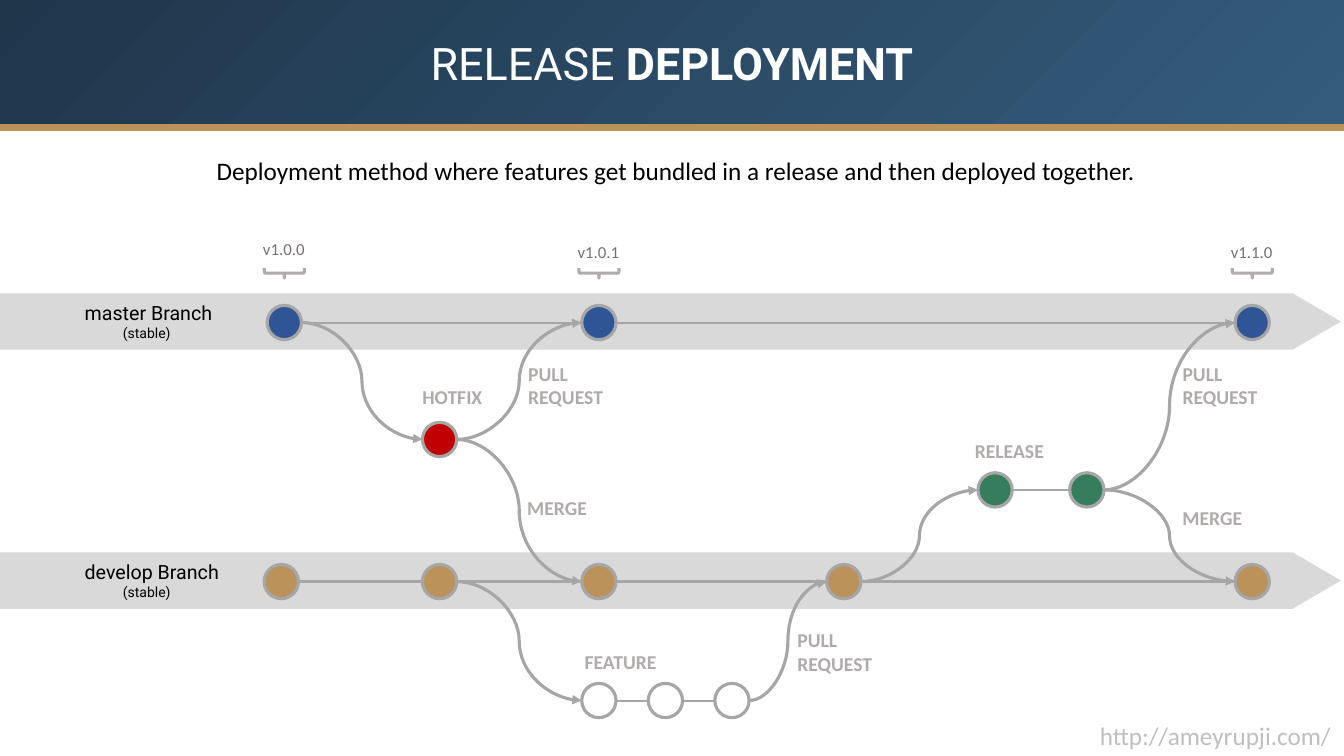
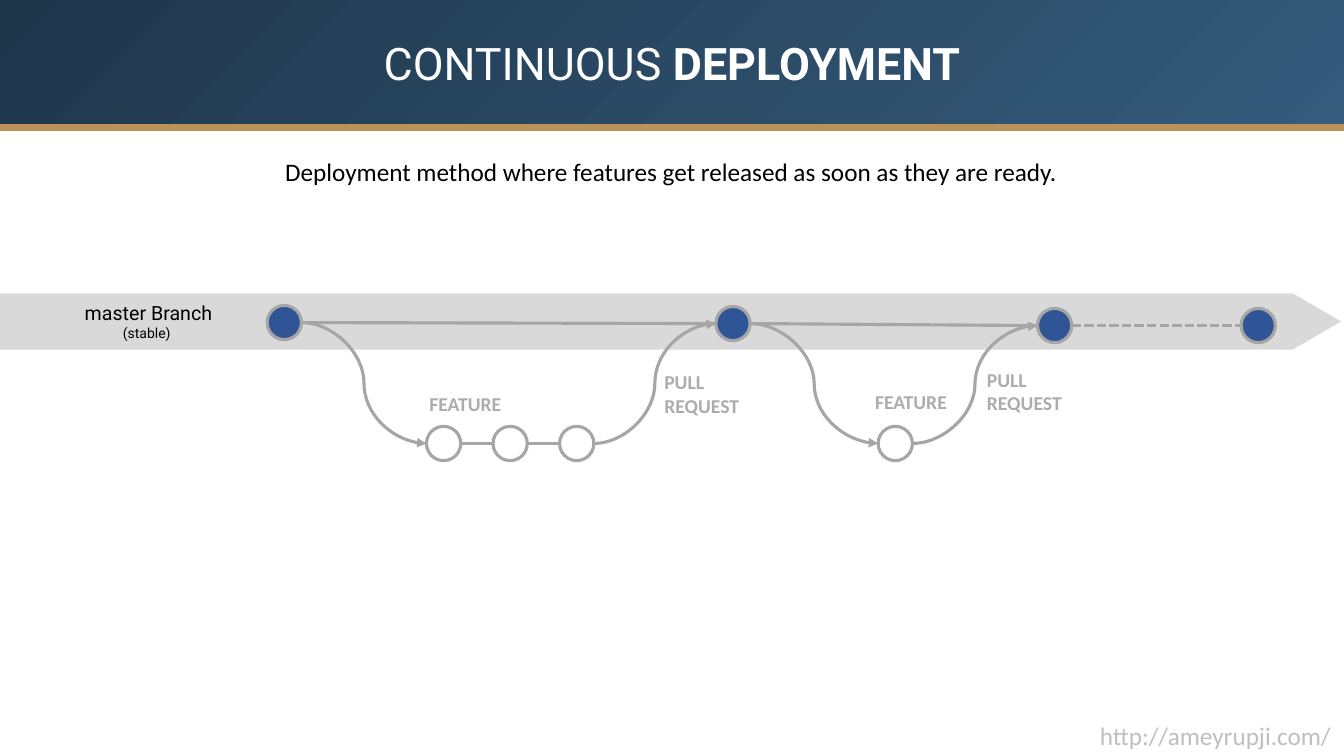
from dataclasses import dataclass
from itertools import pairwise

from pptx import Presentation
from pptx.dml.color import RGBColor
from pptx.enum.dml import MSO_LINE
from pptx.enum.shapes import MSO_CONNECTOR, MSO_SHAPE
from pptx.enum.text import MSO_ANCHOR, MSO_AUTO_SIZE, PP_ALIGN
from pptx.oxml.ns import qn
from pptx.util import Inches, Pt
from lxml import etree

STRAIGHT, CURVE = MSO_CONNECTOR.STRAIGHT, MSO_CONNECTOR.CURVE
ELLIPSE, ARROW_BAND, BRACE = MSO_SHAPE.OVAL, MSO_SHAPE.PENTAGON, MSO_SHAPE.RIGHT_BRACE
DOTTED = MSO_LINE.SQUARE_DOT
MIDDLE, CENTER, LEFT = MSO_ANCHOR.MIDDLE, PP_ALIGN.CENTER, PP_ALIGN.LEFT

HEADING_FONT, BODY_FONT = "Roboto", "Calibri"
WHITE, BLACK = "FFFFFF", "000000"
NAVY, STEEL, GOLD = "1F364B", "355C7D", "BB925A"
BLUE, RED, GREEN = "2F5597", "C00000", "357D5B"
BAND_GRAY, LINE_GRAY, LABEL_GRAY = "D9D9D9", "A6A6A6", "AFABAB"
TAG_GRAY, FOOTER_GRAY = "767171", "BFBFBF"

SLIDE_W, SLIDE_H = 13.33, 7.5
HEADER_H, RULE_Y = 1.25, 1.27
BAND_W, BAND_H, BAND_TIP = 13.3, 0.56, 0.48
NODE_D = 0.34
THIN, THICK = 1.5, 2.25
MASTER_Y, DEVELOP_Y = 3.2, 5.77
FEATURE_STEP = 0.66


@dataclass(frozen=True)
class Node:
    """A commit, placed by its centre."""
    x: float
    y: float
    color: str


@dataclass(frozen=True)
class Label:
    text: str
    x: float
    y: float
    w: float
    size: int = 14
    color: str = LABEL_GRAY
    bold: bool = True


def rgb(color: str) -> RGBColor:
    return RGBColor.from_string(color)


def add_run(p, text: str, size: int, color: str, font: str = BODY_FONT, bold: bool = False):
    r = p.add_run()
    r.text = text
    r.font.size = Pt(size)
    r.font.name = font
    r.font.bold = bold
    r.font.color.rgb = rgb(color)


def add_header(s, topic: str):
    sp = s.shapes.title
    sp.left, sp.top = Inches(0), Inches(0)
    sp.width, sp.height = Inches(SLIDE_W), Inches(HEADER_H)
    sp.fill.gradient()
    sp.fill.gradient_angle = 315
    for stop, color in zip(sp.fill.gradient_stops, (NAVY, STEEL)):
        stop.color.rgb = rgb(color)
    tf = sp.text_frame
    tf.auto_size = MSO_AUTO_SIZE.NONE
    tf.vertical_anchor = MIDDLE
    p = tf.paragraphs[0]
    p.alignment = CENTER
    add_run(p, f"{topic} ", 32, WHITE, HEADING_FONT)
    add_run(p, "DEPLOYMENT", 32, WHITE, HEADING_FONT, bold=True)
    add_line(s, (0, RULE_Y), (SLIDE_W, RULE_Y), GOLD, 5)


def add_label(s, label: Label):
    lines = label.text.split("\n")
    height = 0.1 + len(lines) * label.size / 60
    sp = s.shapes.add_textbox(Inches(label.x), Inches(label.y), Inches(label.w), Inches(height))
    tf = sp.text_frame
    tf.word_wrap = False
    for i, line in enumerate(lines):
        p = tf.add_paragraph() if i else tf.paragraphs[0]
        add_run(p, line, label.size, label.color, bold=label.bold)


def add_band(s, name: str, y: float):
    """Draw a branch as a wide arrow centred on y."""
    sp = s.shapes.add_shape(ARROW_BAND, Inches(0), Inches(y - 0.01 - BAND_H / 2),
                            Inches(BAND_W), Inches(BAND_H))
    sp.adjustments[0] = BAND_TIP / BAND_H
    sp.shadow.inherit = False
    sp.fill.solid()
    sp.fill.fore_color.rgb = rgb(BAND_GRAY)
    sp.line.fill.background()
    tf = sp.text_frame
    tf.margin_left = Inches(0.84)
    tf.vertical_anchor = MIDDLE
    p = tf.paragraphs[0]
    p.alignment = LEFT
    add_run(p, f"{name} Branch", 14, BLACK, HEADING_FONT)
    p = tf.add_paragraph()
    p.alignment = LEFT
    p._p.get_or_add_pPr().set("marL", str(Inches(0.38)))
    add_run(p, "(stable)", 10, BLACK, HEADING_FONT)


def add_line(s, start: tuple[float, float], end: tuple[float, float], color: str = LINE_GRAY,
             width: float = THICK, kind=STRAIGHT, arrow: bool = False, dash=None):
    c = s.shapes.add_connector(kind, *(Inches(v) for v in (*start, *end)))
    c.line.color.rgb = rgb(color)
    c.line.width = Pt(width)
    if dash is not None:
        c.line.dash_style = dash
    props = c.element.spPr
    if arrow:
        etree.SubElement(props.find(qn("a:ln")), qn("a:tailEnd"), type="triangle")
    etree.SubElement(props, qn("a:effectLst"))


def add_chain(s, nodes: list[Node], width: float = THICK, dash=None):
    """Join successive commits with straight lines."""
    for a, b in pairwise(nodes):
        add_line(s, (a.x + NODE_D / 2, a.y), (b.x - NODE_D / 2, b.y), width=width, dash=dash)


def add_flow(s, a: Node, b: Node):
    """Draw a curved arrow from the right of one commit to the left of another."""
    add_line(s, (a.x + NODE_D / 2, a.y), (b.x - NODE_D / 2, b.y), kind=CURVE, arrow=True)


def add_node(s, node: Node):
    sp = s.shapes.add_shape(ELLIPSE, Inches(node.x - NODE_D / 2), Inches(node.y - NODE_D / 2),
                            Inches(NODE_D), Inches(NODE_D))
    sp.shadow.inherit = False
    sp.fill.solid()
    sp.fill.fore_color.rgb = rgb(node.color)
    sp.line.color.rgb = rgb(LINE_GRAY)
    sp.line.width = Pt(THICK)


def add_version(s, node: Node, text: str, y: float):
    """Mark a commit with a brace and a version number."""
    sp = s.shapes.add_shape(BRACE, Inches(node.x - 0.05), Inches(2.51), Inches(0.1), Inches(0.4))
    sp.rotation = 90
    sp.shadow.inherit = False
    sp.fill.background()
    sp.line.color.rgb = rgb(LABEL_GRAY)
    sp.line.width = Pt(THICK)
    add_label(s, Label(text, node.x - 0.31, y, 0.62, 12, TAG_GRAY, False))


def feature_row(x: float, y: float, count: int) -> list[Node]:
    return [Node(x + i * FEATURE_STEP, y, WHITE) for i in range(count)]


def add_page(prs, topic: str, summary: Label):
    s = prs.slides.add_slide(prs.slide_layouts[5])
    add_header(s, topic)
    add_label(s, summary)
    add_label(s, Label("http://ameyrupji.com/", 10.81, 7.1, 2.52, 18, FOOTER_GRAY, False))
    add_band(s, "master", MASTER_Y)
    return s


def add_release_slide(prs):
    s = add_page(prs, "RELEASE", Label(
        "Deployment method where features get bundled in a release and then deployed together.",
        2.05, 1.49, 9.45, 18, BLACK, False))
    add_band(s, "develop", DEVELOP_Y)

    master = [Node(x, MASTER_Y, BLUE) for x in (2.82, 5.94, 12.42)]
    develop = [Node(x, DEVELOP_Y, GOLD) for x in (2.79, 4.36, 5.94, 8.37, 12.42)]
    hotfix = Node(4.36, 4.36, RED)
    features = feature_row(5.94, 6.95, 3)
    releases = [Node(x, 4.86, GREEN) for x in (9.87, 10.78)]

    add_chain(s, master, THIN)
    add_chain(s, develop)
    add_chain(s, features, THIN)
    add_chain(s, releases, THIN)
    for a, b in [
        (master[0], hotfix), (hotfix, master[1]), (hotfix, develop[2]),
        (develop[1], features[0]), (features[-1], develop[3]),
        (develop[3], releases[0]), (releases[-1], master[2]), (releases[-1], develop[4]),
    ]:
        add_flow(s, a, b)
    for node in [*master, *develop, hotfix, *features, *releases]:
        add_node(s, node)
    for node, text, y in zip(master, ("v1.0.0", "v1.0.1", "v1.1.0"), (2.32, 2.35, 2.35)):
        add_version(s, node, text, y)
    for label in [
        Label("HOTFIX", 4.09, 3.77, 0.8),
        Label("FEATURE", 5.7, 6.4, 0.92),
        Label("RELEASE", 9.57, 4.3, 0.89),
        Label("PULL\nREQUEST", 5.14, 3.54, 0.95),
        Label("PULL\nREQUEST", 11.63, 3.54, 0.95),
        Label("PULL\nREQUEST", 7.81, 6.18, 0.95),
        Label("MERGE", 5.13, 4.87, 0.8),
        Label("MERGE", 11.63, 4.97, 0.8),
    ]:
        add_label(s, label)


def add_continuous_slide(prs):
    s = add_page(prs, "CONTINUOUS", Label(
        "Deployment method where features get released as soon as they are ready.",
        2.73, 1.5, 7.9, 18, BLACK, False))

    master = [Node(x, y, BLUE) for x, y in
              ((2.82, MASTER_Y), (7.27, 3.21), (10.46, 3.23), (12.48, 3.23))]
    first, second = feature_row(4.4, 4.4, 3), feature_row(8.88, 4.4, 1)

    add_chain(s, master[:3])
    add_chain(s, master[2:], dash=DOTTED)
    add_chain(s, first)
    for (a, b), features in zip(pairwise(master), (first, second)):
        add_flow(s, a, features[0])
        add_flow(s, features[-1], b)
    for node in [*master, *first, *second]:
        add_node(s, node)
    for label in [
        Label("FEATURE", 4.16, 3.84, 0.92),
        Label("FEATURE", 8.58, 3.82, 0.92),
        Label("PULL\nREQUEST", 6.49, 3.62, 0.95),
        Label("PULL\nREQUEST", 9.69, 3.6, 0.95),
    ]:
        add_label(s, label)


def main():
    prs = Presentation()
    prs.slide_width, prs.slide_height = Inches(SLIDE_W), Inches(SLIDE_H)
    add_release_slide(prs)
    add_continuous_slide(prs)
    prs.save("out.pptx")


if __name__ == "__main__":
    main()
